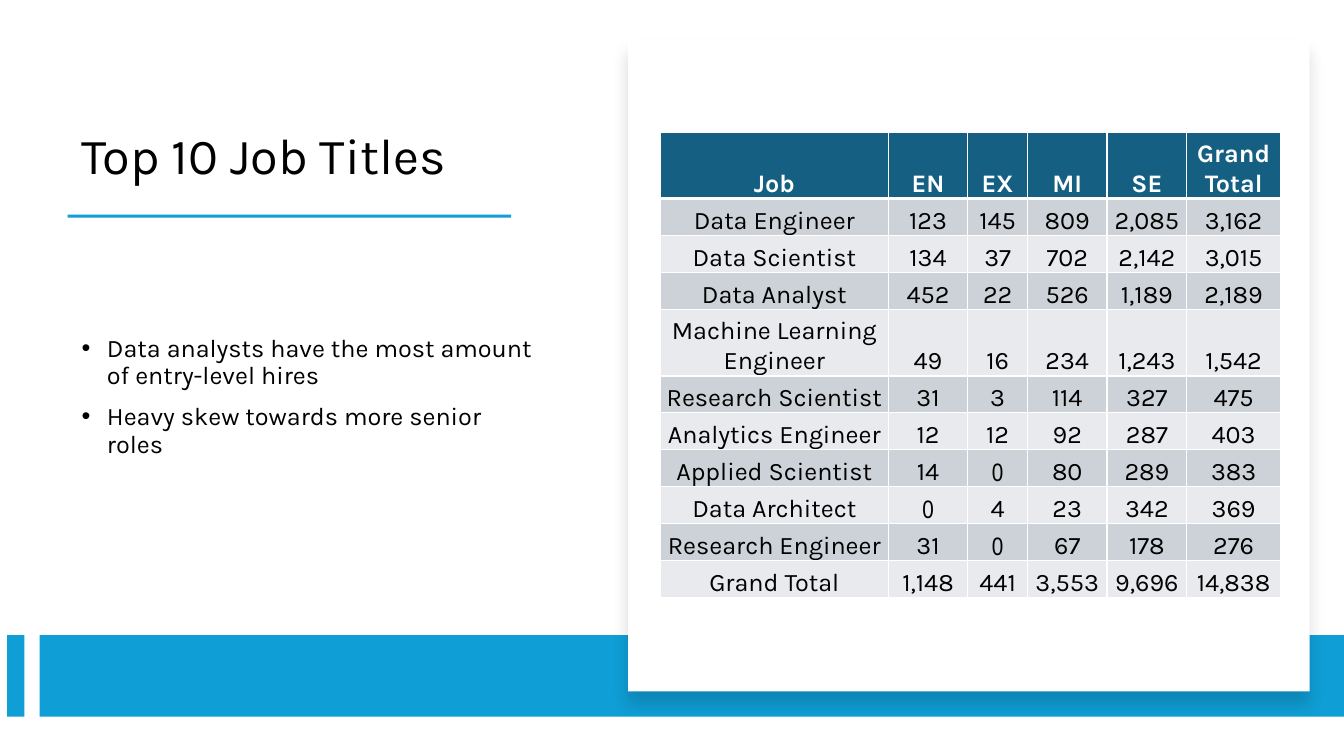
"""Builds a slide with a table of the top ten job titles by level."""
from lxml import etree
from pptx import Presentation
from pptx import util as u
from pptx.dml.color import RGBColor
from pptx.enum import shapes, text
from pptx.oxml import ns

WIDE, HIGH = u.Inches(13.33), u.Inches(7.5)
BLUE = RGBColor(0x0F, 0x9E, 0xD5)
TEAL = RGBColor(0x15, 0x60, 0x82)
DARK = RGBColor(0xCC, 0xD2, 0xD8)
PALE = RGBColor(0xE8, 0xEA, 0xED)
BLACK = RGBColor(0, 0, 0)
WHITE = RGBColor(255, 255, 255)

POINTS = [
    "Data analysts have the most amount of entry-level hires",
    "Heavy skew towards more senior roles",
]
COLS = [16.95, 5.93, 4.43, 5.93, 5.93, 6.98]
LOW, TALL = 4.89, 8.8
JOBS = [
    ("Job", "EN", "EX", "MI", "SE", "Grand Total"),
    ("Data Engineer", "123", "145", "809", "2,085", "3,162"),
    ("Data Scientist", "134", "37", "702", "2,142", "3,015"),
    ("Data Analyst", "452", "22", "526", "1,189", "2,189"),
    ("Machine Learning Engineer", "49", "16", "234", "1,243", "1,542"),
    ("Research Scientist", "31", "3", "114", "327", "475"),
    ("Analytics Engineer", "12", "12", "92", "287", "403"),
    ("Applied Scientist", "14", "0", "80", "289", "383"),
    ("Data Architect", "0", "4", "23", "342", "369"),
    ("Research Engineer", "31", "0", "67", "178", "276"),
    ("Grand Total", "1,148", "441", "3,553", "9,696", "14,838"),
]


def across(share):
    return int(WIDE * share / 100)


def down(share):
    return int(HIGH * share / 100)


def area(x, y, w, h):
    return across(x), down(y), across(w), down(h)


def node(parent, tag, **attrs):
    return etree.SubElement(parent, ns.qn(tag), attrs)


def write(para, words, size, color=BLACK, face="Karla", bold=False):
    run = para.add_run()
    run.text = words
    font = run.font
    font.size, font.name, font.bold = u.Pt(size), face, bold
    font.color.rgb = color


def place(holder, spot, anchor):
    holder.left, holder.top, holder.width, holder.height = area(*spot)
    frame = holder.text_frame
    frame.word_wrap = True
    frame.auto_size = text.MSO_AUTO_SIZE.NONE
    frame.vertical_anchor = anchor
    return frame


def head(slide, words, spot):
    frame = place(slide.shapes.title, spot, text.MSO_ANCHOR.BOTTOM)
    para = frame.paragraphs[0]
    para.alignment = text.PP_ALIGN.LEFT
    para.line_spacing = 0.9
    write(para, words, 36)


def points(slide, lines, spot):
    frame = place(slide.placeholders[1], spot, text.MSO_ANCHOR.MIDDLE)
    frame.margin_bottom = down(6)
    for i, line in enumerate(lines):
        para = frame.add_paragraph() if i else frame.paragraphs[0]
        para.line_spacing = 0.9
        para.space_before = u.Pt(10)
        props = para._p.get_or_add_pPr()
        props.set("marL", str(u.Inches(0.25)))
        props.set("indent", str(-u.Inches(0.25)))
        node(props, "a:buFont", typeface="Arial")
        node(props, "a:buChar", char="•")
        write(para, line, 18)


def block(slide, spot, color):
    shape = slide.shapes.add_shape(shapes.MSO_SHAPE.RECTANGLE, *area(*spot))
    shape.shadow.inherit = False
    shape.fill.solid()
    shape.fill.fore_color.rgb = color
    shape.line.fill.background()
    return shape


def card(slide, spot):
    shape = block(slide, spot, WHITE)
    glow = node(shape._element.spPr.find(ns.qn("a:effectLst")), "a:outerShdw",
                blurRad=str(u.Pt(11)), dist=str(u.Pt(10)), dir="5400000",
                algn="t", rotWithShape="0")
    tint = node(glow, "a:srgbClr", val=str(BLACK))
    node(tint, "a:alpha", val="15000")


def edge(cell, side, width):
    line = node(cell._tc.get_or_add_tcPr(), "a:ln" + side, w=str(u.Pt(width)))
    node(node(line, "a:solidFill"), "a:srgbClr", val=str(WHITE))


def fill(cell, words, row):
    for side in "LRTB":
        edge(cell, side, 3 if (row, side) in [(0, "B"), (1, "T")] else 1)
    cell.fill.solid()
    cell.fill.fore_color.rgb = (DARK if row % 2 else PALE) if row else TEAL
    cell.vertical_anchor = text.MSO_ANCHOR.BOTTOM
    cell.margin_left = cell.margin_right = cell.margin_top = u.Inches(0.02)
    cell.margin_bottom = 0
    para = cell.text_frame.paragraphs[0]
    para.alignment = text.PP_ALIGN.CENTER
    write(para, words, 18, BLACK if row else WHITE,
          "Arial Narrow" if words == "0" else "Karla", row == 0)


def grid(slide, rows, x, y):
    highs = [TALL if i in (0, 4) else LOW for i in range(len(rows))]
    spot = area(x, y, sum(COLS), sum(highs))
    table = slide.shapes.add_table(len(rows), len(COLS), *spot).table
    for col, share in zip(table.columns, COLS):
        col.width = across(share)
    for i, (row, share) in enumerate(zip(rows, highs)):
        table.rows[i].height = down(share)
        for j, words in enumerate(row):
            fill(table.cell(i, j), words, i)


def main():
    deck = Presentation()
    deck.slide_width, deck.slide_height = WIDE, HIGH
    slide = deck.slides.add_slide(deck.slide_layouts[1])
    head(slide, "Top 10 Job Titles", (5.33, 7.73, 35.11, 17.47))
    block(slide, (5.03, 28.4, 33.01, 0.4), BLUE)
    points(slide, POINTS, (5.33, 29.6, 35.11, 51.2))
    for x, w in [(0.53, 1.28), (2.96, 97.04)]:
        block(slide, (x, 84, w, 10.8), BLUE)
    card(slide, (46.74, 5.2, 50.71, 86.27))
    grid(slide, JOBS, 49.14, 17.47)
    deck.save("out.pptx")


if __name__ == "__main__":
    main()
